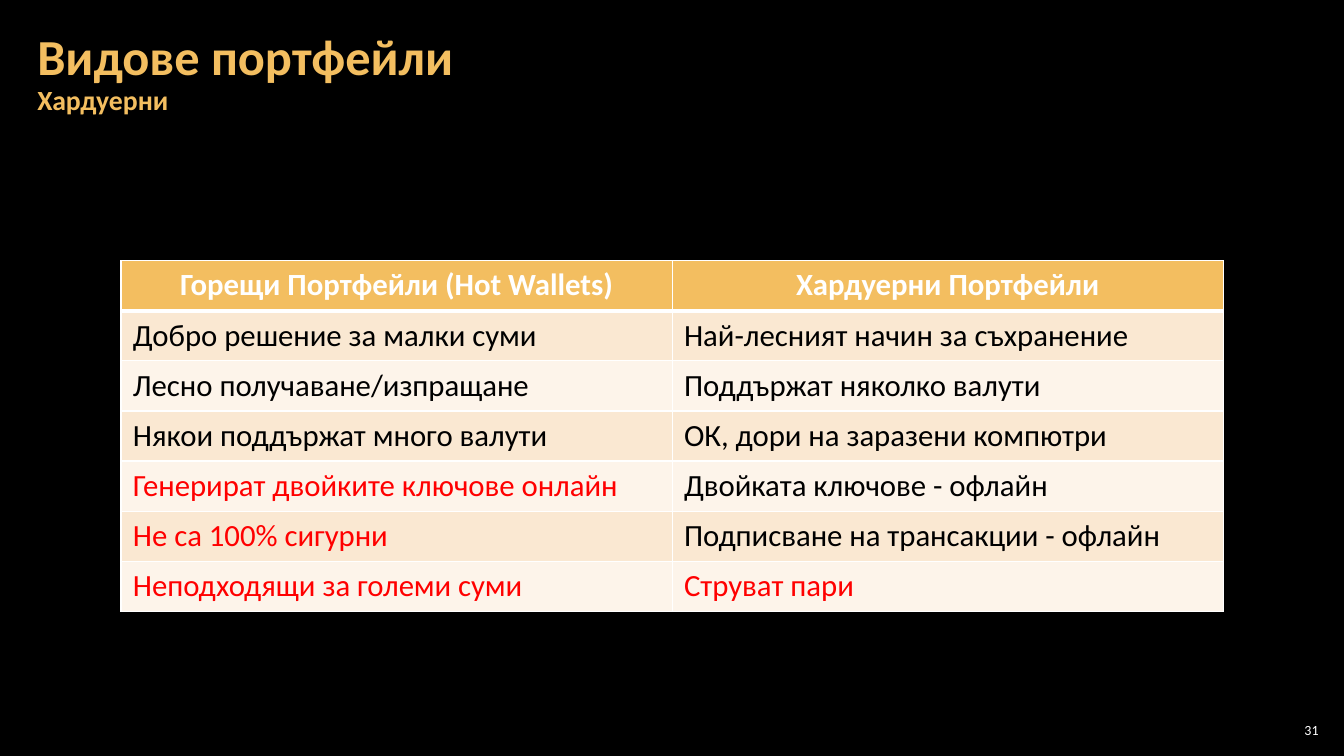
from pptx import Presentation, util as u
from pptx.dml.color import RGBColor
from pptx.enum import text as t
from lxml import etree

NS = "{http://schemas.openxmlformats.org/drawingml/2006/main}"
GOLD, WHITE, BLACK, RED = "F3BE60", "FFFFFF", "000000", "FF0000"
BANDS = "FAE8D2", "FDF4EA"
HEADS = "Горещи Портфейли (Hot Wallets)", "Хардуерни Портфейли"
ROWS = [
    (("Добро решение за малки суми", BLACK), ("Най-лесният начин за съхранение", BLACK)),
    (("Лесно получаване/изпращане", BLACK), ("Поддържат няколко валути", BLACK)),
    (("Някои поддържат много валути", BLACK), ("ОК, дори на заразени компютри", BLACK)),
    (("Генерират двойките ключове онлайн", RED), ("Двойката ключове - офлайн", BLACK)),
    (("Не са 100% сигурни", RED), ("Подписване на трансакции - офлайн", BLACK)),
    (("Неподходящи за големи суми", RED), ("Струват пари", RED)),
]


def paint(item, color):
    item.fill.solid()
    item.fill.fore_color.rgb = RGBColor.from_string(color)


def style(par, size, color, bold=False):
    font = par.font
    font.name, font.size, font.bold = "Calibri", u.Pt(size), bold
    font.color.rgb = RGBColor.from_string(color)


def pad(item, side, edge):
    item.margin_left = item.margin_right = u.Cm(side)
    item.margin_top = item.margin_bottom = u.Cm(edge)


def label(slide, box, side):
    frame = slide.shapes.add_textbox(*map(u.Cm, box)).text_frame
    frame.word_wrap = True
    frame.vertical_anchor = t.MSO_ANCHOR.MIDDLE
    pad(frame, side, 0.1)
    return frame.paragraphs[0]


def title(slide, box, head, sub):
    par = label(slide, box, 0.3)
    par.line_spacing = 0.9
    style(par, 36, GOLD, True)
    par.add_run().text = head
    par.add_line_break()
    run = par.add_run()
    run.text = sub
    run.font.size = u.Pt(19.8)


def number(slide, box, value):
    par = label(slide, box, 0.1)
    par.text = value
    par.alignment = t.PP_ALIGN.RIGHT
    style(par, 10, WHITE)


def border(cell, top, base):
    props = cell._tc.get_or_add_tcPr()
    for side, width in zip("LRTB", (1, 1, top, base)):
        line = etree.SubElement(props, f"{NS}ln{side}", w=str(u.Pt(width)))
        fill = etree.SubElement(line, f"{NS}solidFill")
        etree.SubElement(fill, f"{NS}srgbClr", val=WHITE)


def table(slide, box, heads, rows):
    grid = slide.shapes.add_table(len(rows) + 1, len(heads), *map(u.Cm, box)).table
    lines = [[(head, WHITE) for head in heads], *rows]
    for i, line in enumerate(lines):
        for j, (words, color) in enumerate(line):
            cell = grid.cell(i, j)
            border(cell, 3 if i == 1 else 1, 3 if i == 0 else 1)
            paint(cell, BANDS[(i - 1) % 2] if i else GOLD)
            pad(cell, 0.3, 0.15)
            par = cell.text_frame.paragraphs[0]
            par.text = words
            par.alignment = t.PP_ALIGN.LEFT if i else t.PP_ALIGN.CENTER
            style(par, 22, color, i == 0)


def main():
    deck = Presentation()
    deck.slide_width, deck.slide_height = u.Cm(33.87), u.Cm(19.05)
    slide = deck.slides.add_slide(deck.slide_layouts[6])
    paint(slide.background, BLACK)
    number(slide, (32.13, 18.14, 1.2, 0.53), "31")
    title(slide, (0.64, 0.64, 27.84, 2.46), "Видове портфейли", "Хардуерни")
    table(slide, (3.05, 6.57, 27.78, 8.84), HEADS, ROWS)
    deck.save("out.pptx")


if __name__ == "__main__":
    main()
